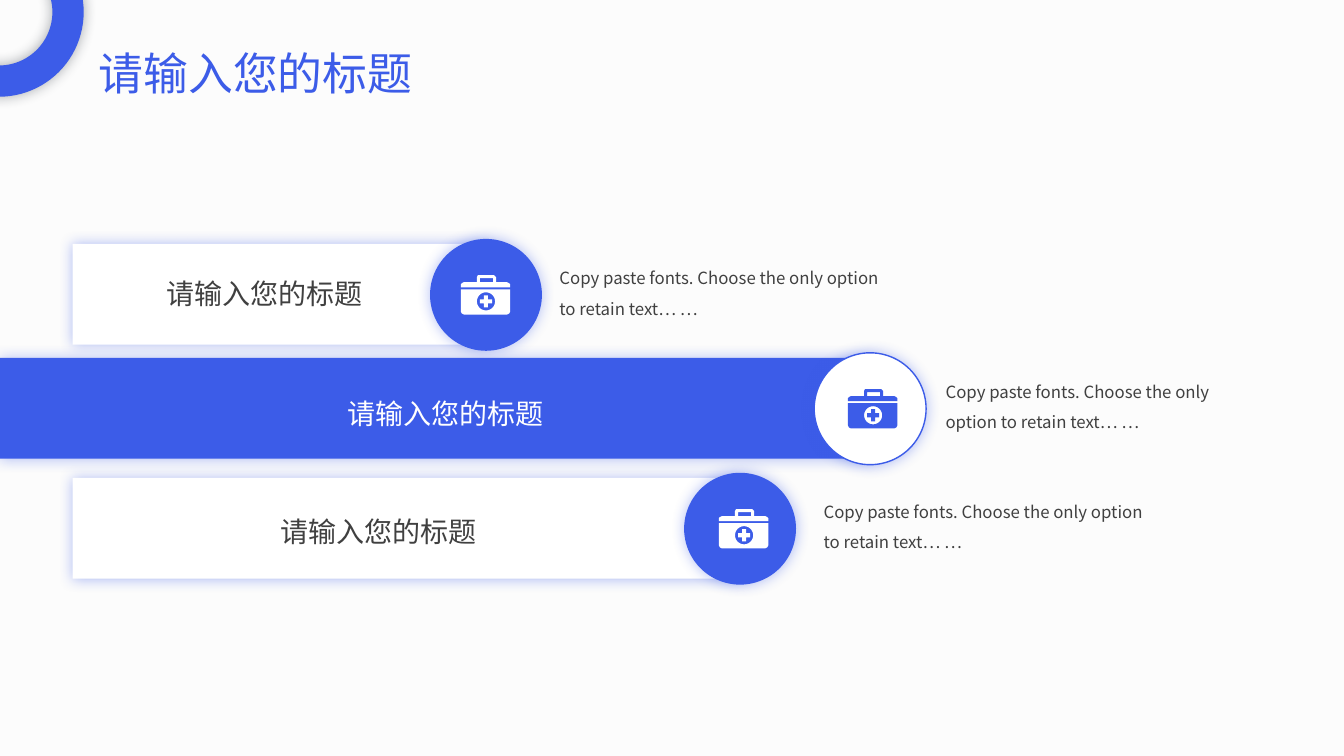
from dataclasses import dataclass
from math import cos, pi, sin

from lxml.etree import SubElement
from pptx import Presentation
from pptx.dml.color import RGBColor
from pptx.enum.shapes import MSO_SHAPE
from pptx.enum.text import MSO_ANCHOR
from pptx.oxml.ns import qn
from pptx.shapes.autoshape import Shape
from pptx.slide import Slide
from pptx.util import Inches, Pt

BLUE = "3C5CE8"
WHITE = "FFFFFF"
GREY = "404040"
NAVY = "222A35"
FONT = "Noto Sans CJK SC"
HEADING = "请输入您的标题"
DETAIL = "Copy paste fonts. Choose the only option to retain text… …"
CIRCLE_SIZE = 1.11
BAR_HEIGHT = 1.0

Outline = list[tuple[float, float]]

LID: Outline = [
    (0, 0.12), (0, 0.09), (0.01, 0.08), (0.03, 0.07), (0.16, 0.07), (0.16, 0.02),
    (0.17, 0), (0.33, 0), (0.35, 0.02), (0.35, 0.07), (0.46, 0.07),
    (0.48, 0.08), (0.49, 0.09), (0.49, 0.12),
]
HANDLE_HOLE: Outline = [(0.19, 0.03), (0.32, 0.03), (0.32, 0.07), (0.19, 0.07)]
CASE: Outline = [
    (0, 0.14), (0.49, 0.14), (0.49, 0.36), (0.48, 0.38),
    (0.46, 0.39), (0.03, 0.39), (0.01, 0.38), (0, 0.36),
]
ROUND_HOLE: Outline = [
    (0.25 + 0.09 * cos(step * pi / 24), 0.26 + 0.09 * sin(step * pi / 24))
    for step in range(48)
]


@dataclass(frozen=True)
class Row:
    left: float
    top: float
    width: float
    icon_left: float
    label_left: float
    label_top: float
    detail_left: float
    detail_width: float
    bar_color: str
    circle_color: str
    label_color: str


ROWS = [
    Row(0.72, 2.42, 4.1, 4.57, 1.55, 2.63, 5.45, 3.47, WHITE, BLUE, GREY),
    Row(0, 3.55, 8.63, 8.41, 3.35, 3.82, 9.28, 3.33, BLUE, WHITE, WHITE),
    Row(0.72, 4.74, 6.62, 7.13, 2.68, 4.99, 8.07, 3.47, WHITE, BLUE, GREY),
]


def rgb(color: str) -> RGBColor:
    return RGBColor.from_string(color)


def paint(shape: Shape, color: str) -> None:
    shape.shadow.inherit = False
    shape.fill.solid()
    shape.fill.fore_color.rgb = rgb(color)
    shape.line.fill.background()


def add_glow_shadow(shape: Shape, color: str) -> None:
    effects = shape.element.spPr.find(qn("a:effectLst"))
    shadow = SubElement(effects, qn("a:outerShdw"), blurRad=str(Pt(10)), dist="0",
                        dir="0", algn="ctr", rotWithShape="0")
    tint = SubElement(shadow, qn("a:srgbClr"), val=color)
    SubElement(tint, qn("a:alpha"), val="40000")


def add_preset(page: Slide, kind: MSO_SHAPE, left: float, top: float,
               width: float, height: float, color: str) -> Shape:
    shape = page.shapes.add_shape(
        kind, Inches(left), Inches(top), Inches(width), Inches(height))
    paint(shape, color)
    return shape


def add_outlines(page: Slide, left: float, top: float,
                 outlines: list[Outline], color: str) -> None:
    contours = [[(x * 1000, y * 1000) for x, y in outline] for outline in outlines]
    builder = page.shapes.build_freeform(*contours[0][0], scale=Inches(1) / 1000)
    builder.add_line_segments(contours[0][1:], close=True)
    for contour in contours[1:]:
        builder.move_to(*contour[0])
        builder.add_line_segments(contour[1:], close=True)
    paint(builder.convert_to_shape(Inches(left), Inches(top)), color)


def add_text(page: Slide, left: float, top: float, width: float, height: float,
             text: str, size: float, color: str, spacing: float) -> None:
    box = page.shapes.add_textbox(
        Inches(left), Inches(top), Inches(width), Inches(height))
    frame_format = {"word_wrap": True, "vertical_anchor": MSO_ANCHOR.TOP}
    for name, value in frame_format.items():
        setattr(box.text_frame, name, value)
    para = box.text_frame.paragraphs[0]
    para.line_spacing = spacing
    span = para.add_run()
    span.text = text
    for name, value in {"name": FONT, "size": Pt(size)}.items():
        setattr(span.font, name, value)
    span.font.color.rgb = rgb(color)
    SubElement(span.font._element, qn("a:ea"), typeface=FONT)


def add_first_aid_icon(page: Slide, left: float, top: float, color: str) -> None:
    add_outlines(page, left, top, [LID, HANDLE_HOLE], color)
    add_outlines(page, left, top, [CASE, ROUND_HOLE], color)
    cross = add_preset(page, MSO_SHAPE.CROSS, left + 0.19, top + 0.2, 0.12, 0.12, color)
    cross.adjustments[0] = 1 / 3


def add_row(page: Slide, row: Row) -> None:
    bar = add_preset(page, MSO_SHAPE.RECTANGLE, row.left, row.top,
                     row.width, BAR_HEIGHT, row.bar_color)
    circle = add_preset(page, MSO_SHAPE.OVAL, row.left + row.width - CIRCLE_SIZE / 2,
                        row.top - 0.05, CIRCLE_SIZE, CIRCLE_SIZE, row.circle_color)
    for shape in (bar, circle):
        add_glow_shadow(shape, BLUE)
    if row.circle_color == WHITE:
        circle.line.color.rgb = rgb(BLUE)
        circle.line.width = Pt(1)
    add_first_aid_icon(page, row.icon_left, row.top + 0.31, row.bar_color)
    add_text(page, row.label_left, row.label_top, 2.26, 0.47,
             HEADING, 20, row.label_color, 1.2)
    add_text(page, row.detail_left, row.top + 0.09, row.detail_width, 0.83,
             DETAIL, 12, GREY, 1.5)


def add_header(page: Slide) -> None:
    ring = add_preset(page, MSO_SHAPE.DONUT, -0.85, -0.72, 1.68, 1.68, BLUE)
    ring.adjustments[0] = 0.31 / 1.68
    add_glow_shadow(ring, NAVY)
    add_text(page, 0.88, 0.4, 4.62, 0.64, HEADING, 32, BLUE, 1.0)


def main() -> None:
    deck = Presentation()
    for name, value in {"slide_width": 13.33, "slide_height": 7.5}.items():
        setattr(deck, name, Inches(value))
    page = deck.slides.add_slide(deck.slide_layouts[6])
    page.background.fill.solid()
    page.background.fill.fore_color.rgb = rgb("FCFCFC")
    for row in ROWS:
        add_row(page, row)
    add_header(page)
    deck.save("out.pptx")


if __name__ == "__main__":
    main()
